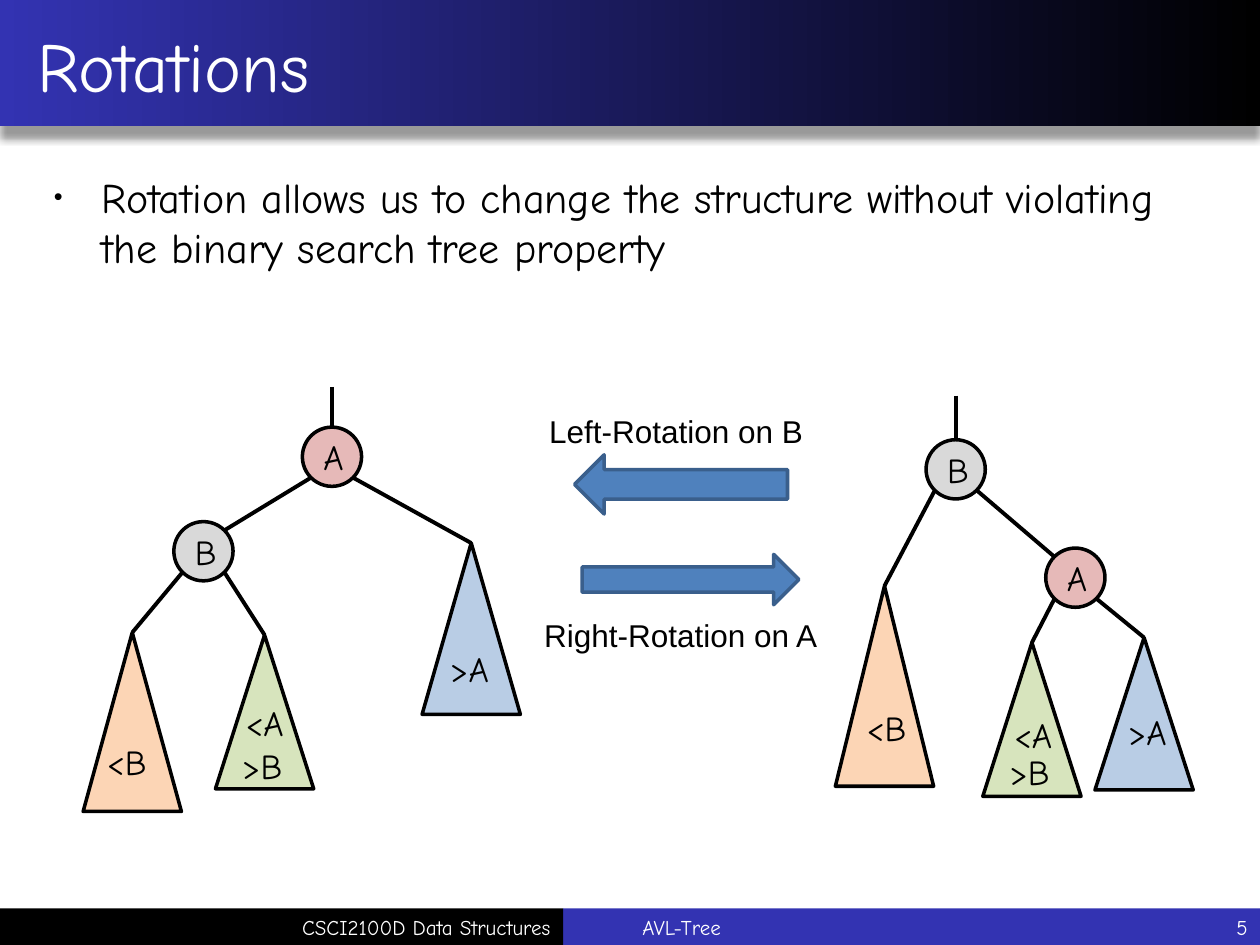
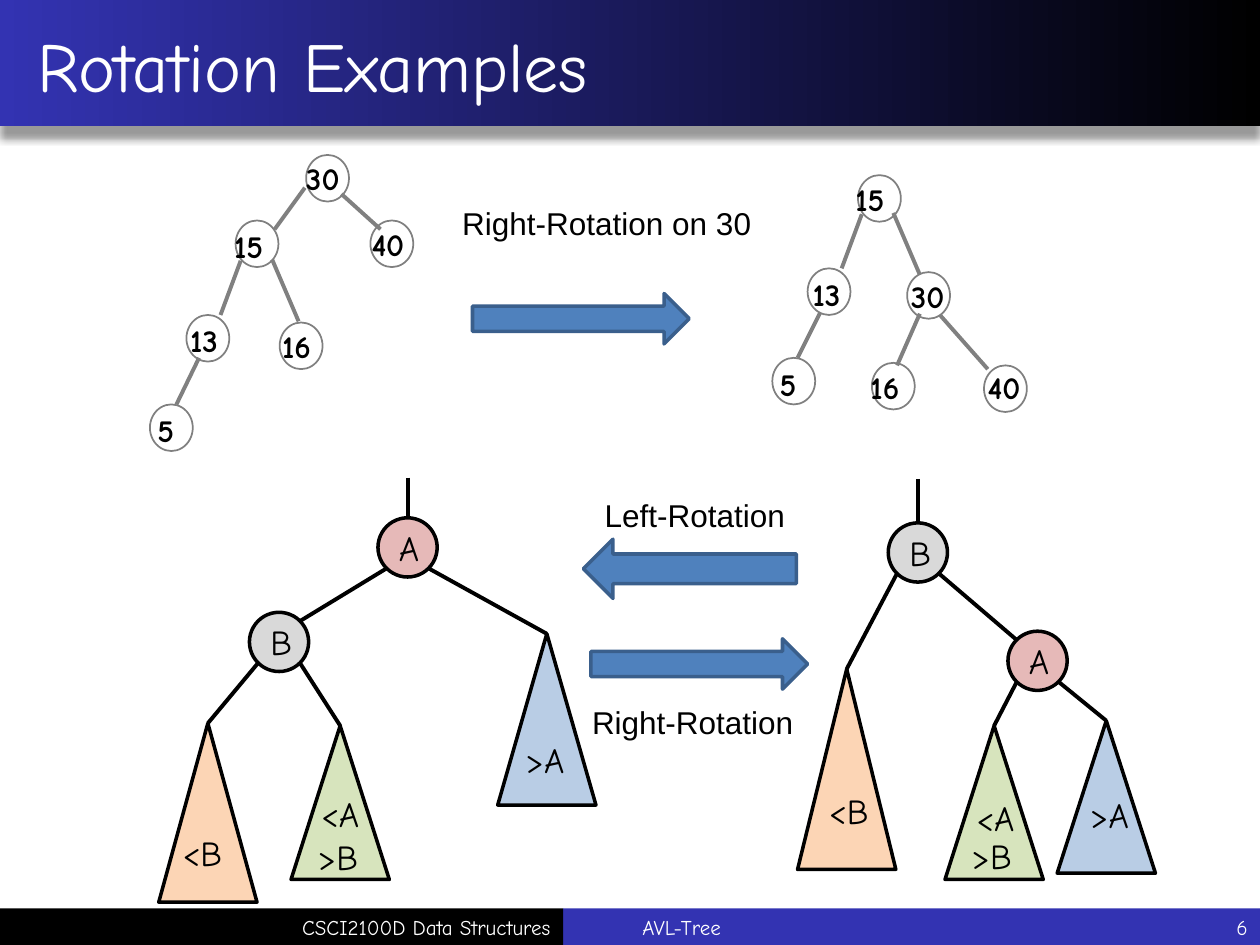
from lxml import etree
from pptx import Presentation
from pptx import util as u
from pptx.dml.color import RGBColor
from pptx.enum import shapes, text
from pptx.oxml.ns import qn

rgb = RGBColor.from_string
SHAPE, ALIGN, ANCHOR = shapes.MSO_SHAPE, text.PP_ALIGN, text.MSO_ANCHOR
BLUE, BLACK, WHITE, GREY = "3333B2", "000000", "FFFFFF", "808080"
PEACH, GREEN, SKY = "FCD5B5", "D7E4BD", "B9CDE5"

TITLE = {"size": u.Pt(40), "name": "Comic Neue"}
BODY = {"size": u.Pt(24), "name": "Comic Neue"}
LABEL = {"size": u.Pt(20), "name": "Comic Neue"}
KEY = {"size": u.Pt(18), "name": "Comic Neue", "bold": True}
CAPTION = {"size": u.Pt(18), "name": "Arial"}
FOOTER = {"size": u.Pt(12), "name": "Comic Neue"}

deck = Presentation()
deck.slide_width, deck.slide_height = u.Inches(10), u.Inches(7.5)
CELL = deck.slide_width // 10  # grid of 10 columns by 7.5 rows


def draw(slide, box, kind=None, fill=None, line=None, weight=2, words="", font=LABEL,
         ink=BLACK, align=ALIGN.LEFT, anchor=ANCHOR.TOP, wrap=True):
    """Place a preset shape, or a text box if no kind is given."""
    place = [round(n * CELL) for n in box]
    if kind is None:
        item = slide.shapes.add_textbox(*place)
    else:
        item = slide.shapes.add_shape(kind, *place)
        item.shadow.inherit = False
    for part, colour in ((item.fill, fill), (item.line.fill, line)):
        if colour:
            part.solid()
            part.fore_color.rgb = rgb(colour)
        else:
            part.background()
    if line:
        item.line.width = u.Pt(weight)
    if words:
        frame = item.text_frame
        frame.word_wrap, frame.vertical_anchor = wrap, anchor
        if not wrap:
            frame.auto_size = text.MSO_AUTO_SIZE.SHAPE_TO_FIT_TEXT
        paragraph = frame.paragraphs[0]
        paragraph.alignment = align
        run = paragraph.add_run()
        run.text = words
        run.font.color.rgb = rgb(ink)
        for name, value in font.items():
            setattr(run.font, name, value)
    return item


def link(slide, start, end, colour=BLACK, below=None):
    """Draw a branch, joined to the top of the item below if there is one."""
    ends = [round(n * CELL) for n in (*start, *end)]
    branch = slide.shapes.add_connector(shapes.MSO_CONNECTOR.STRAIGHT, *ends)
    branch.line.color.rgb = rgb(colour)
    branch.line.width = u.Pt(2.25)
    if below is not None:
        branch.end_connect(below, 0)
    etree.SubElement(branch._element.spPr, qn("a:effectLst"))


# Tree nodes: diameter, and where branches touch the circle (share of diameter)
NODE, NEAR, FAR = 0.47, 0.15, 0.85
NODE_FILL = {"A": "E6B9B8", "B": "D9D9D9"}
SUBTREE_WIDTH = 0.78

# Root, child, side of the child, stem length, node places, and subtrees:
# parent, side, place, height, fill, labels with their offsets
TREES = [
    ("A", "B", "left", 0.32, {"A": (2.4, 3.39), "B": (1.38, 4.14)}, [
        ("B", "left", (0.66, 5.02), 1.42, PEACH, {"<B": (0.09, 0.81)}),
        ("B", "right", (1.71, 5.04), 1.22, GREEN, {">B": (0.11, 0.82), "<A": (0.14, 0.48)}),
        ("A", "right", (3.35, 4.31), 1.36, SKY, {">A": (0.12, 0.78)}),
    ]),
    ("B", "A", "right", 0.35, {"A": (8.3, 4.35), "B": (7.35, 3.49)}, [
        ("B", "left", (6.63, 4.65), 1.59, PEACH, {"<B": (0.15, 0.91)}),
        ("A", "left", (7.8, 5.1), 1.22, GREEN, {">B": (0.11, 0.81), "<A": (0.15, 0.51)}),
        ("A", "right", (8.69, 5.06), 1.21, SKY, {">A": (0.16, 0.53)}),
    ]),
]

# Title, page, shift of each tree, shift of the arrows, captions with their boxes
PAGES = [
    ("Rotations", "5", [(0, 0), (0, 0)], (0, 0),
     {"Right-Rotation on A": (4.22, 4.84, 2.44, 0.4),
      "Left-Rotation on B": (4.26, 3.22, 2.43, 0.4)}),
    ("Rotation Examples", "6", [(0.6, 0.72), (-0.3, 0.66)], (0.07, 0.67),
     {"Right-Rotation": (4.6, 5.53, 1.82, 0.4),
      "Left-Rotation": (4.7, 3.89, 1.82, 0.4),
      "Right-Rotation on 30": (3.57, 1.57, 2.49, 0.4)}),
]
ARROW = {"fill": "4F81BD", "line": "3A5F8C"}

for title, page, shifts, (arrow_dx, arrow_dy), captions in PAGES:
    slide = deck.slides.add_slide(deck.slide_layouts[6])

    # Title band with gradient and soft shadow
    band = draw(slide, (0, -0.01, 10, 1.01), SHAPE.RECTANGLE, BLUE)
    band.fill.gradient()
    band.fill.gradient_angle = 180
    for stop, colour, position in zip(band.fill.gradient_stops, (BLACK, BLUE), (0, 1)):
        stop.color.rgb, stop.position = rgb(colour), position
    effects = band._element.spPr.find(qn("a:effectLst"))
    shade = etree.SubElement(effects, qn("a:outerShdw"), blurRad=str(u.Pt(4)),
                             dist=str(u.Pt(7)), dir="5400000", rotWithShape="0")
    shade_colour = etree.SubElement(shade, qn("a:srgbClr"), val=BLACK)
    etree.SubElement(shade_colour, qn("a:alpha"), val="40000")
    heading = draw(slide, (0, 0.02, 10, 0.98), words=title, font=TITLE, ink=WHITE,
                   anchor=ANCHOR.MIDDLE)
    heading.text_frame.paragraphs[0]._p.get_or_add_pPr().set("marL", str(u.Inches(0.2)))

    # Footer
    for left, width, colour in ((4.47, 5.53, BLUE), (0, 4.47, BLACK)):
        draw(slide, (left, 7.21, width, 0.29), SHAPE.RECTANGLE, colour)
    for words, left, width, align in (("CSCI2100D Data Structures", 0.01, 4.46, ALIGN.RIGHT),
                                      ("AVL-Tree", 5, 4.41, ALIGN.LEFT),
                                      (page, 8.75, 1.25, ALIGN.RIGHT)):
        draw(slide, (left, 7.21, width, 0.29), words=words, font=FOOTER, ink=WHITE,
             align=align, anchor=ANCHOR.MIDDLE)

    # Trees before and after the rotation
    for (root, child, child_side, stem, nodes, subtrees), (dx, dy) in zip(TREES, shifts):
        circles, touch = {}, {}
        for name, (x, y) in nodes.items():
            x, y = x + dx, y + dy
            circles[name] = draw(slide, (x, y, NODE, NODE), SHAPE.OVAL, NODE_FILL[name], BLACK,
                                 words=name, align=ALIGN.CENTER, anchor=ANCHOR.MIDDLE)
            for side, across in (("left", NEAR), ("right", FAR)):
                for level, down in (("upper", NEAR), ("lower", FAR)):
                    touch[name, level, side] = (x + across * NODE, y + down * NODE)
        inner_side = "right" if child_side == "left" else "left"
        link(slide, touch[root, "lower", child_side], touch[child, "upper", inner_side])
        root_x, root_y = nodes[root][0] + dx + NODE / 2, nodes[root][1] + dy
        link(slide, (root_x, root_y - stem), (root_x, root_y), below=circles[root])

        for parent, side, (x, y), height, fill, labels in subtrees:
            x, y = x + dx, y + dy
            subtree = draw(slide, (x, y, SUBTREE_WIDTH, height), SHAPE.ISOSCELES_TRIANGLE,
                           fill, BLACK)
            link(slide, touch[parent, "lower", side], (x + SUBTREE_WIDTH / 2, y), below=subtree)
            for words, (right, down) in labels.items():
                draw(slide, (x + right, y + down, 0.55, 0.44), words=words)

    # Rotation arrows and captions
    draw(slide, (4.62 + arrow_dx, 4.4 + arrow_dy, 1.72, 0.4), SHAPE.RIGHT_ARROW, **ARROW)
    draw(slide, (4.56 + arrow_dx, 3.61 + arrow_dy, 1.69, 0.47), SHAPE.LEFT_ARROW, **ARROW)
    for words, box in captions.items():
        draw(slide, box, words=words, font=CAPTION)

# Opening statement on the first slide
rotations, examples = deck.slides
statement = draw(rotations, (0.33, 1.31, 9.17, 5.39), font=BODY,
                 words="Rotation allows us to change the structure without violating "
                       "the binary search tree property")
paragraph = statement.text_frame.paragraphs[0]
paragraph.space_before = u.Pt(4.8)
bullet = paragraph._p.get_or_add_pPr()
bullet.set("marL", str(u.Inches(0.38)))
bullet.set("indent", str(-u.Inches(0.38)))
etree.SubElement(bullet, qn("a:buSzPct"), val="60000")
etree.SubElement(bullet, qn("a:buFont"), typeface="Arial")
etree.SubElement(bullet, qn("a:buChar"), char="•")

# Worked example on the second slide: key, circle, key text, branch from the parent
KEYS = [
    ("30", (2.43, 1.23), (2.33, 1.21), None),
    ("15", (1.87, 1.75), (1.76, 1.75), ((2.42, 1.49), (2.18, 1.82))),
    ("40", (2.94, 1.75), (2.85, 1.74), ((2.71, 1.54), (3.02, 1.82))),
    ("13", (1.48, 2.5), (1.41, 2.5), ((1.91, 2.07), (1.75, 2.5))),
    ("16", (2.22, 2.56), (2.14, 2.55), ((2.16, 2.06), (2.37, 2.55))),
    ("5", (1.19, 3.21), (1.15, 3.21), ((1.58, 2.84), (1.4, 3.21))),
    ("15", (6.81, 1.39), (6.69, 1.38), None),
    ("13", (6.41, 2.13), (6.35, 2.13), ((6.84, 1.7), (6.68, 2.13))),
    ("30", (7.2, 2.16), (7.13, 2.15), ((7.09, 1.69), (7.3, 2.18))),
    ("5", (6.13, 2.84), (6.09, 2.85), ((6.51, 2.48), (6.33, 2.84))),
    ("16", (6.92, 2.88), (6.81, 2.87), ((7.3, 2.49), (7.12, 2.9))),
    ("40", (7.81, 2.9), (7.74, 2.87), ((7.46, 2.5), (7.84, 2.93))),
]
for key, circle, key_place, branch in KEYS:
    draw(examples, (*circle, 0.34, 0.37), SHAPE.OVAL, line=GREY, weight=1)
    key_width = 0.51 if len(key) == 2 else 0.36
    draw(examples, (*key_place, key_width, 0.4), words=key, font=KEY, wrap=False)
    if branch:
        link(examples, *branch, colour=GREY)
draw(examples, (3.75, 2.33, 1.72, 0.4), SHAPE.RIGHT_ARROW, **ARROW)

deck.save("out.pptx")
